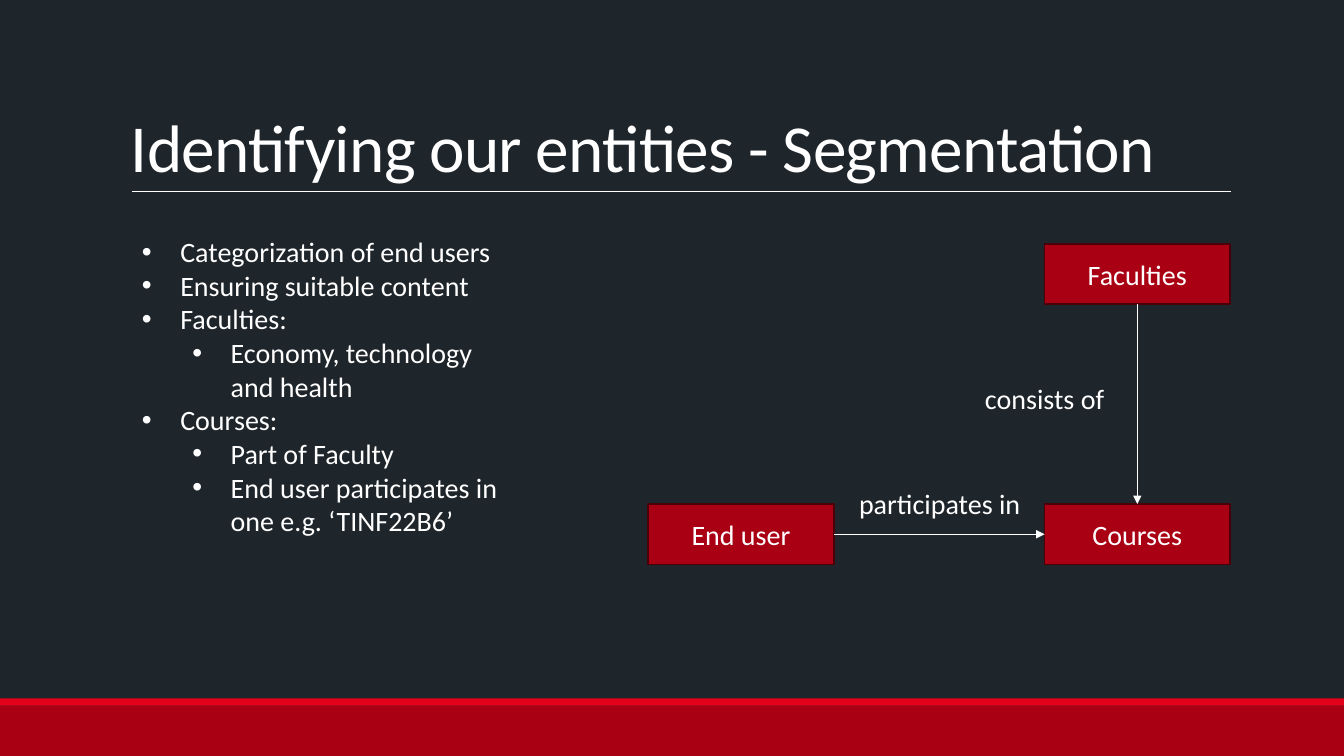
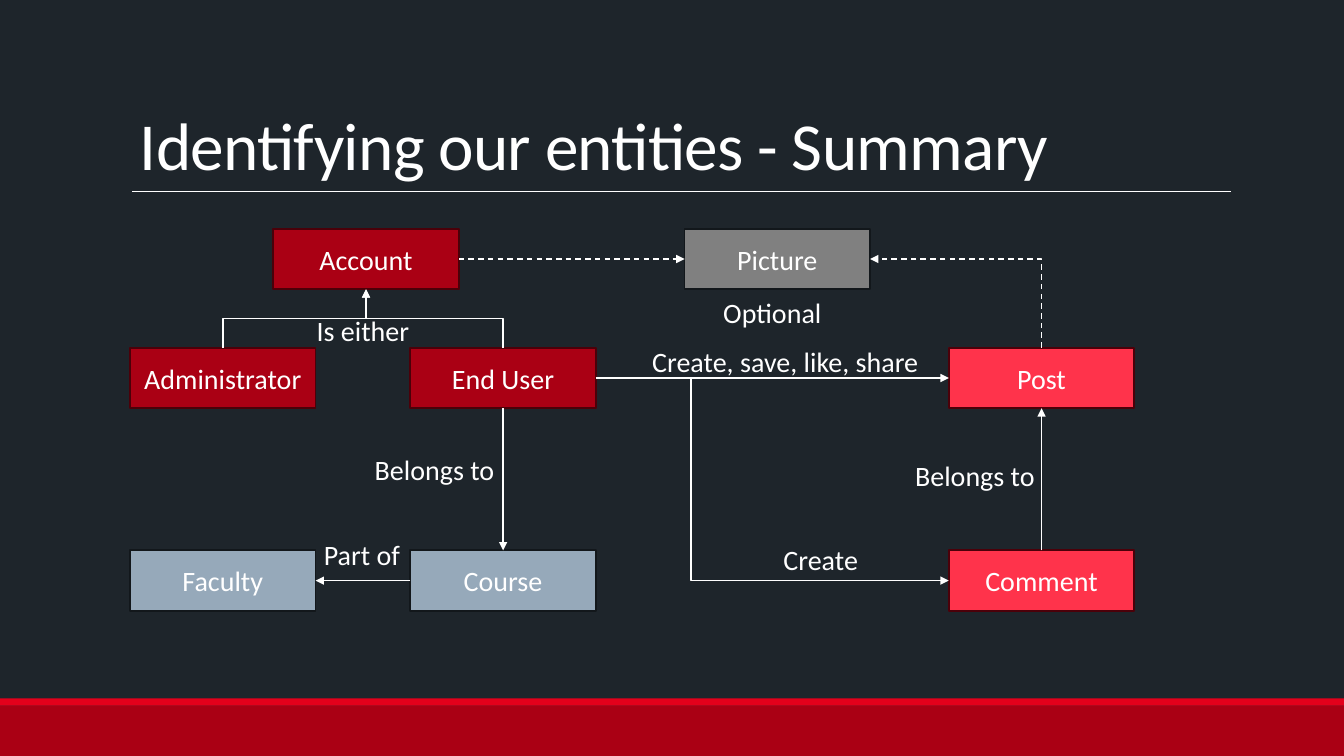
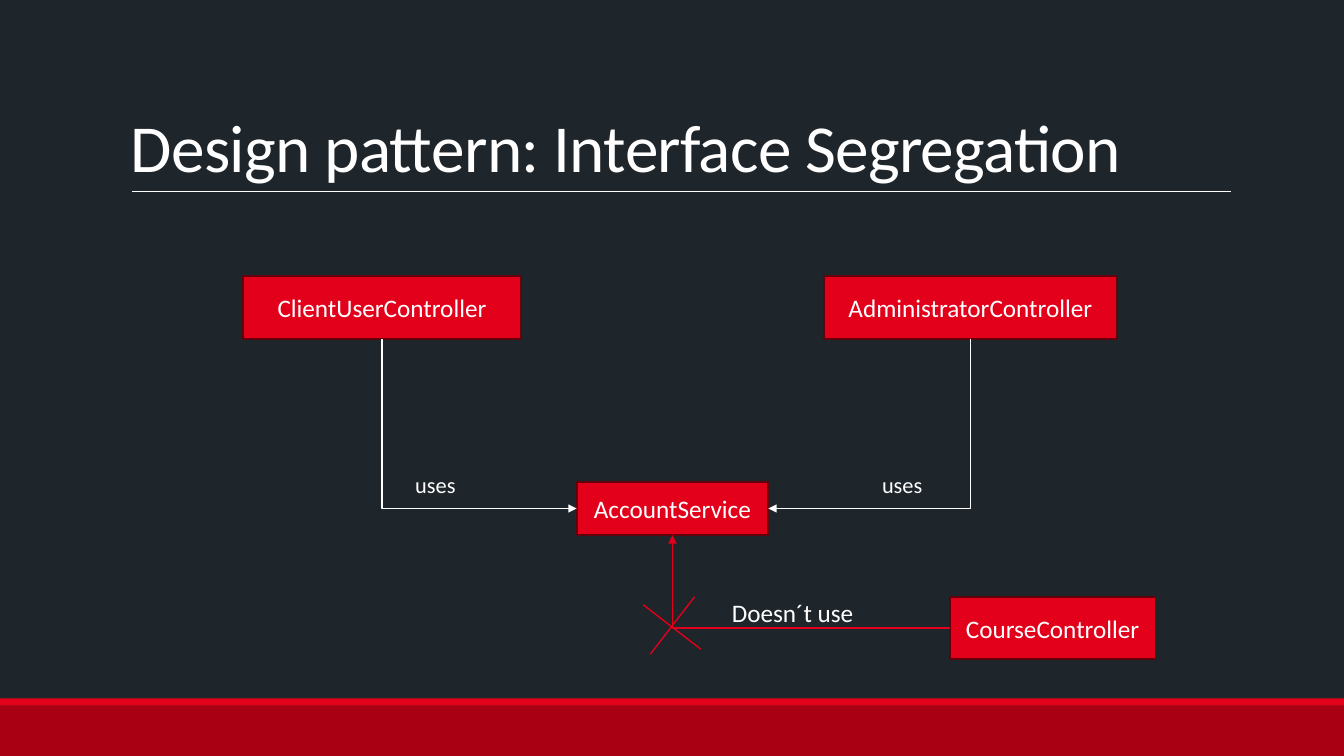
"""Builds three slides on entities and interface segregation."""
from dataclasses import dataclass

import lxml.etree
import pptx
import pptx.dml.color
import pptx.enum.dml
import pptx.enum.shapes
import pptx.enum.text
import pptx.oxml.ns
import pptx.util

Inches = pptx.util.Inches
Pt = pptx.util.Pt
RGB = pptx.dml.color.RGBColor.from_string
qn = pptx.oxml.ns.qn
ALIGN = pptx.enum.text.PP_ALIGN
ANCHOR = pptx.enum.text.MSO_ANCHOR
CONNECTOR = pptx.enum.shapes.MSO_CONNECTOR
RECT = pptx.enum.shapes.MSO_SHAPE.RECTANGLE


@dataclass(frozen=True)
class Theme:
    font: str = "Calibri"
    background: str = "1E252B"
    white: str = "FFFFFF"
    crimson: str = "AA0014"
    red: str = "E3001B"
    coral: str = "FF334B"
    steel: str = "96A9BA"
    grey: str = "808080"
    crimson_edge: str = "4B0009"
    red_edge: str = "63000C"
    dark_edge: str = "12171B"
    title: int = 48
    body: int = 20
    small: int = 18
    note: int = 16
    box_line: float = 1.25
    link_line: float = 1
    rule_line: float = 0.5


T = Theme()
TOP, LEFT, BOTTOM, RIGHT = range(4)
SITE_X = (0.5, 0, 0.5, 1)
SITE_Y = (0, 0.5, 1, 0.5)
EDGES = {T.crimson: T.crimson_edge, T.coral: T.crimson_edge, T.red: T.red_edge,
         T.steel: T.dark_edge, T.grey: T.dark_edge}
BOX_W, BOX_H = 1.84, 0.6
LABEL_H = 0.44


def add_text(p, text, size, align=ALIGN.LEFT):
    """Add one run to a paragraph."""
    p.alignment = align
    r = p.add_run()
    r.text = text
    r.font.name = T.font
    r.font.size = Pt(size)
    r.font.color.rgb = RGB(T.white)
    return r


def add_line(s, kind, x1, y1, x2, y2, color, width):
    """Add a plain connector without shadow."""
    c = s.shapes.add_connector(kind, int(x1), int(y1), int(x2), int(y2))
    c.line.color.rgb = RGB(color)
    c.line.width = Pt(width)
    lxml.etree.SubElement(c._element.spPr, qn("a:effectLst"))
    return c


account_y, user_y, course_y = 2.27, 3.45, 5.46
left_x, user_x, post_x = 1.29, 4.07, 9.41

slides = [
    {
        "title": ("Identifying our entities - Segmentation", 1.2, 0.31),
        "bullets": [
            (0, "Categorization of end users"),
            (0, "Ensuring suitable content"),
            (0, "Faculties:"),
            (1, "Economy, technology and health"),
            (0, "Courses:"),
            (1, "Part of Faculty"),
            (1, "End user participates in one e.g. ‘TINF22B6’"),
        ],
        "size": T.body,
        "boxes": [
            ("Faculties", 10.36, 2.42, BOX_W, BOX_H, T.crimson),
            ("Courses", 10.36, 5, BOX_W, BOX_H, T.crimson),
            ("End user", 6.43, 5, BOX_W, BOX_H, T.crimson),
        ],
        "links": [
            ("Faculties", BOTTOM, "Courses", TOP, {}),
            ("End user", RIGHT, "Courses", LEFT, {}),
        ],
        "labels": [
            ("consists of", 9.32, 3.74, 2.08, LABEL_H, T.body, ALIGN.CENTER),
            ("participates in", 8.28, 4.78, 2.08, LABEL_H, T.body, ALIGN.CENTER),
        ],
        "strokes": [],
    },
    {
        "title": ("Identifying our entities - Summary", 1.29, 0.29),
        "bullets": [],
        "size": T.body,
        "boxes": [
            ("Post", post_x, user_y, BOX_W, BOX_H, T.coral),
            ("Comment", post_x, course_y, BOX_W, BOX_H, T.coral),
            ("Account", 2.71, account_y, BOX_W, BOX_H, T.crimson),
            ("Administrator", left_x, user_y, BOX_W, BOX_H, T.crimson),
            ("End User", user_x, user_y, BOX_W, BOX_H, T.crimson),
            ("Faculty", left_x, course_y, BOX_W, BOX_H, T.steel),
            ("Course", user_x, course_y, BOX_W, BOX_H, T.steel),
            ("Picture", 6.79, account_y, BOX_W, BOX_H, T.grey),
        ],
        "links": [
            ("Administrator", TOP, "Account", BOTTOM, {}),
            ("End User", TOP, "Account", BOTTOM, {}),
            ("Account", RIGHT, "Picture", LEFT, {"dash": True}),
            ("Post", TOP, "Picture", RIGHT, {"dash": True}),
            ("Course", LEFT, "Faculty", RIGHT, {}),
            ("End User", BOTTOM, "Course", TOP, {}),
            ("End User", RIGHT, "Post", LEFT, {}),
            ("End User", RIGHT, "Comment", LEFT, {"bend": 0.27}),
            ("Comment", TOP, "Post", BOTTOM, {}),
        ],
        "labels": [
            ("Is either", 2.96, 3.06, 1.28, LABEL_H, T.body, ALIGN.CENTER),
            ("Belongs to", 3.39, 4.44, BOX_W, LABEL_H, T.body, ALIGN.CENTER),
            ("Part of", 2.67, 5.28, BOX_W, LABEL_H, T.body, ALIGN.CENTER),
            ("Optional", 6.74, 2.88, BOX_W, LABEL_H, T.body, ALIGN.CENTER),
            ("Create, save, like, share", 6.37, 3.37, 3.04, LABEL_H, T.body, ALIGN.LEFT),
            ("Create", 7.22, 5.33, BOX_W, LABEL_H, T.body, ALIGN.CENTER),
            ("Belongs to", 8.75, 4.5, BOX_W, LABEL_H, T.body, ALIGN.CENTER),
        ],
        "strokes": [],
    },
    {
        "title": ("Design pattern: Interface Segregation", 1.2, 0.31),
        "bullets": [],
        "size": T.small,
        "boxes": [
            ("AccountService", 5.72, 4.78, 1.9, 0.53, T.red),
            ("AdministratorController", 8.17, 2.74, 2.91, 0.62, T.red),
            ("ClientUserController", 2.41, 2.74, 2.76, 0.62, T.red),
            ("CourseController", 9.42, 5.92, 2.04, 0.62, T.red),
        ],
        "links": [
            ("ClientUserController", BOTTOM, "AccountService", LEFT, {}),
            ("AdministratorController", BOTTOM, "AccountService", RIGHT, {}),
            ("CourseController", LEFT, "AccountService", BOTTOM, {"color": T.red}),
        ],
        "labels": [
            ("uses", 4.02, 4.62, 0.8, 0.37, T.note, ALIGN.LEFT),
            ("uses", 8.65, 4.63, 0.8, 0.37, T.note, ALIGN.LEFT),
            ("Doesn´t use", 7.16, 5.88, 1.71, 0.4, T.small, ALIGN.LEFT),
        ],
        "strokes": [(6.45, 6.49, 6.89, 5.92), (6.38, 6, 6.95, 6.44)],
    },
]

prs = pptx.Presentation()
prs.slide_width = Inches(13.33)
prs.slide_height = Inches(7.5)
fill = prs.slide_master.background.fill
fill.solid()
fill.fore_color.rgb = RGB(T.background)

for slide in slides:
    s = prs.slides.add_slide(prs.slide_layouts[6])

    for y, h, color in ((7, 0.5, T.crimson), (6.93, 0.07, T.red)):
        sp = s.shapes.add_shape(RECT, 0, Inches(y), prs.slide_width, Inches(h))
        sp.shadow.inherit = False
        sp.fill.solid()
        sp.fill.fore_color.rgb = RGB(color)
        sp.line.fill.background()
    add_line(s, CONNECTOR.STRAIGHT, Inches(1.31), Inches(1.9), Inches(12.21),
             Inches(1.9), T.white, T.rule_line)

    title, x, y = slide["title"]
    tf = s.shapes.add_textbox(Inches(x), Inches(y), Inches(11), Inches(1.59)).text_frame
    tf.word_wrap = True
    tf.vertical_anchor = ANCHOR.BOTTOM
    p = tf.paragraphs[0]
    p.line_spacing = 0.85
    r = add_text(p, title, T.title)
    r._r.get_or_add_rPr().set("spc", "-50")

    if slide["bullets"]:
        tf = s.shapes.add_textbox(Inches(1.31), Inches(2.28), Inches(3.76), Inches(3.47)).text_frame
        tf.word_wrap = True
        for i, (level, text) in enumerate(slide["bullets"]):
            p = tf.add_paragraph() if i else tf.paragraphs[0]
            p.level = level
            pPr = p._p.get_or_add_pPr()
            pPr.set("marL", str(Inches(0.38 + 0.5 * level)))
            pPr.set("indent", str(-Inches(0.38)))
            lxml.etree.SubElement(pPr, qn("a:buFont")).set("typeface", "Arial")
            lxml.etree.SubElement(pPr, qn("a:buChar")).set("char", "•")
            add_text(p, text, T.body)

    boxes = {}
    for text, x, y, w, h, color in slide["boxes"]:
        sp = s.shapes.add_shape(RECT, Inches(x), Inches(y), Inches(w), Inches(h))
        sp.shadow.inherit = False
        sp.fill.solid()
        sp.fill.fore_color.rgb = RGB(color)
        sp.line.color.rgb = RGB(EDGES[color])
        sp.line.width = Pt(T.box_line)
        tf = sp.text_frame
        tf.word_wrap = True
        tf.vertical_anchor = ANCHOR.MIDDLE
        add_text(tf.paragraphs[0], text, slide["size"], ALIGN.CENTER)
        boxes[text] = sp

    for start, start_site, end, end_site, style in slide["links"]:
        (x1, y1), (x2, y2) = [
            (b.left + b.width * SITE_X[site], b.top + b.height * SITE_Y[site])
            for b, site in ((boxes[start], start_site), (boxes[end], end_site))]
        dx, dy = x2 - x1, y2 - y1
        straight = min(abs(dx), abs(dy)) < Inches(0.01)
        kind = CONNECTOR.STRAIGHT if straight else CONNECTOR.ELBOW
        c = add_line(s, kind, x1, y1, x2, y2, style.get("color", T.white), T.link_line)
        c.begin_connect(boxes[start], start_site)
        c.end_connect(boxes[end], end_site)
        if style.get("dash"):
            c.line.dash_style = pptx.enum.dml.MSO_LINE.DASH
        spPr = c._element.spPr
        lxml.etree.SubElement(spPr.find(qn("a:ln")), qn("a:tailEnd")).set("type", "triangle")
        if straight:
            continue
        geom = spPr.find(qn("a:prstGeom"))
        if start_site % 2 != end_site % 2:
            geom.set("prst", "bentConnector2")
        if "bend" in style:
            gd = lxml.etree.SubElement(geom.find(qn("a:avLst")), qn("a:gd"))
            gd.set("name", "adj1")
            gd.set("fmla", f"val {round(style['bend'] * 100000)}")
        if start_site in (TOP, BOTTOM):
            c.width, c.height = int(abs(dy)), int(abs(dx))
            c.left = int((x1 + x2 - c.width) / 2)
            c.top = int((y1 + y2 - c.height) / 2)
            xfrm = spPr.find(qn("a:xfrm"))
            xfrm.set("rot", str((90 if dy > 0 else 270) * 60000))
            xfrm.set("flipH", "0")
            xfrm.set("flipV", "1" if (dx > 0) == (dy > 0) else "0")

    for text, x, y, w, h, size, align in slide["labels"]:
        tf = s.shapes.add_textbox(Inches(x), Inches(y), Inches(w), Inches(h)).text_frame
        tf.word_wrap = True
        add_text(tf.paragraphs[0], text, size, align)

    for ends in slide["strokes"]:
        add_line(s, CONNECTOR.STRAIGHT, *map(Inches, ends), T.red, T.link_line)

prs.save("out.pptx")
